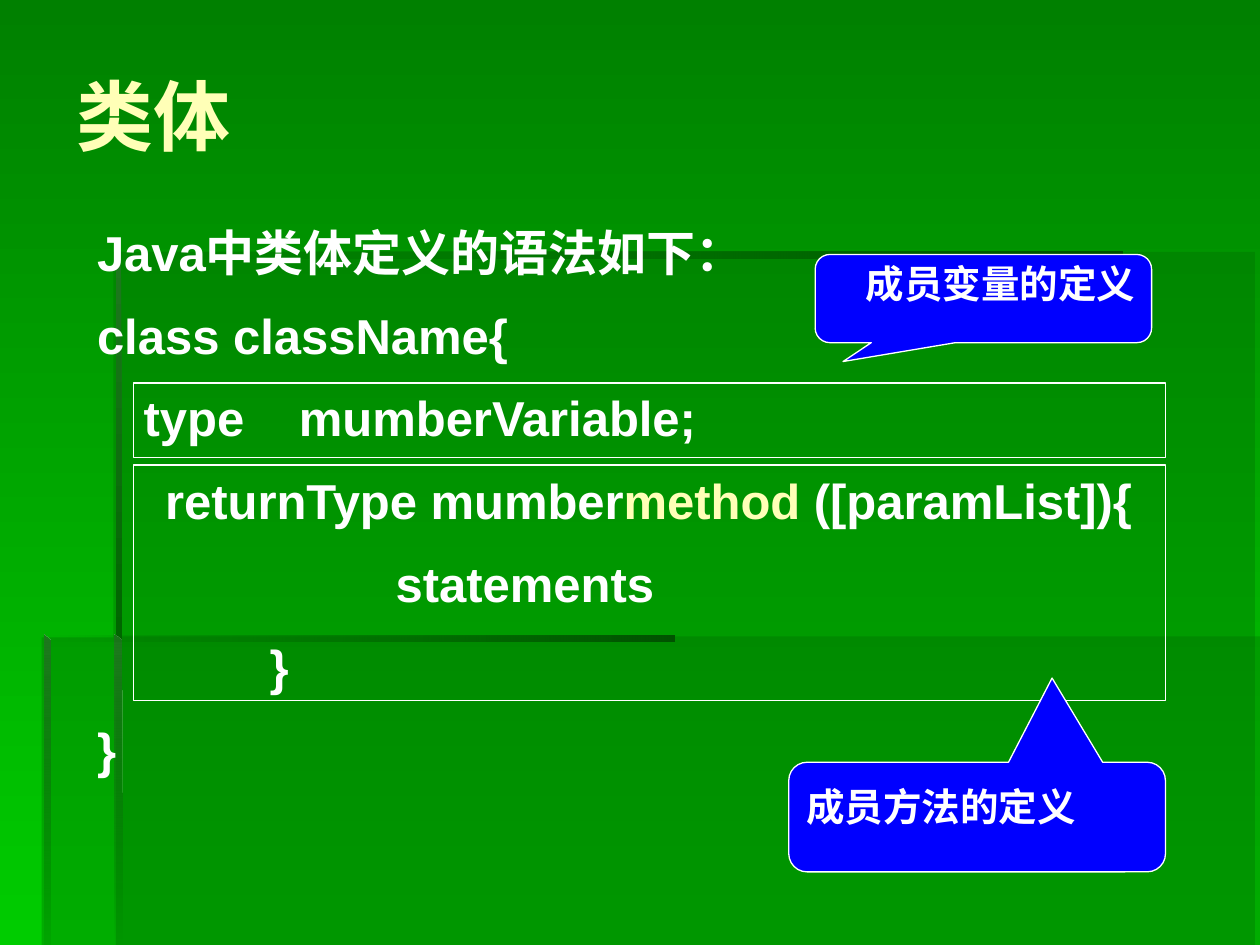
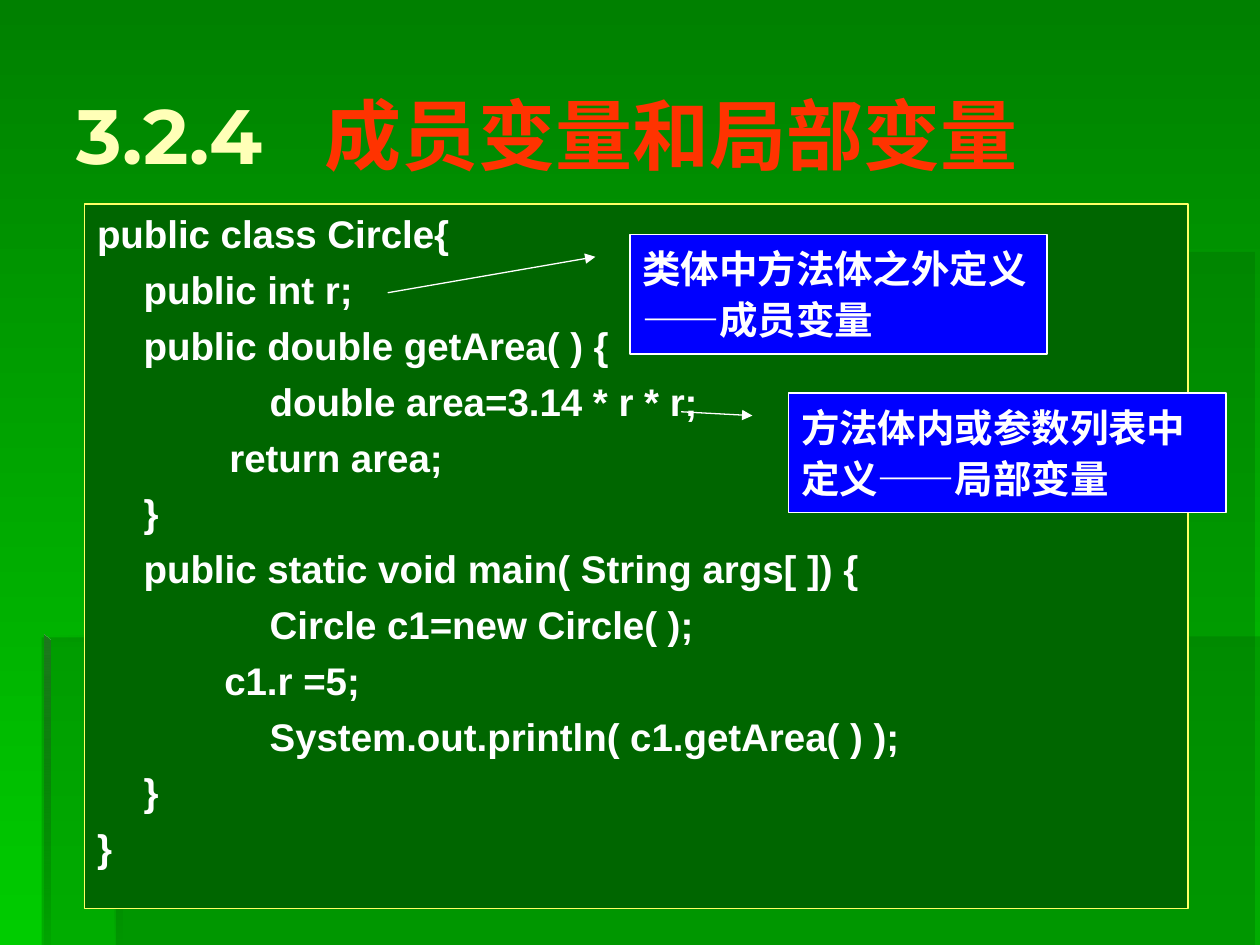
from dataclasses import dataclass

from lxml.etree import SubElement
from pptx import Presentation
from pptx.dml.color import RGBColor
from pptx.enum.shapes import MSO_SHAPE as Preset
from pptx.enum.text import MSO_ANCHOR as Anchor, MSO_AUTO_SIZE as AutoSize, PP_ALIGN as Align
from pptx.oxml.ns import qn
from pptx.util import Inches, Pt


@dataclass(frozen=True)
class Theme:
    font: str = "Arial"
    title_font: str = "Montserrat"
    title_size: int = 44
    syntax_size: int = 28
    code_size: int = 22
    white: str = "FFFFFF"
    cream: str = "FFFFB7"
    red: str = "FF3300"
    blue: str = "0000FF"
    yellow: str = "FFFF66"
    panel: str = "006600"
    shade: str = "005300"
    edge: str = "1E781E"
    sky: tuple = ("008000", "00CC00")


THEME = Theme()
BODY_LEFT, BODY_TOP, BODY_WIDTH = 0.67, 1.62, 8.76

# Shared backdrop: outline points, (colour, opacity) stops, gradient angle
PANE = [(THEME.panel, 30)]
SHADOW = [(THEME.shade, 100), (THEME.panel, 0)]
EDGE = [(THEME.edge, 100), (THEME.panel, 0)]
BACKDROP = [
    ([(0.92, 5.05), (0.92, 7.5), (10, 7.5), (10, 5.05)], PANE, 0),
    ([(0.9, 5.06), (0.33, 5.06), (0.33, 7.5), (9.96, 7.5), (9.96, 2), (0.9, 2)], PANE, 0),
    ([(0.92, 2), (0.92, 2.05), (8.91, 2.05), (8.91, 2)], SHADOW, 180),
    ([(0.92, 2), (0.92, 5.1), (0.97, 5.1), (0.96, 2.04)],
     [(THEME.edge, 100), (THEME.panel, 100)], 90),
    ([(0.91, 7.5), (0.97, 7.5), (0.96, 5.08), (0.91, 5.04)], EDGE, 90),
    ([(0.35, 5.04), (0.35, 5.09), (5.35, 5.09), (5.35, 5.04)], SHADOW, 180),
    ([(0.35, 5.04), (0.35, 7.5), (0.4, 7.5), (0.4, 5.09)],
     [(THEME.edge, 100), (THEME.panel, 10)], 90),
]

# Slide content: code lines are (indent in inches, text or runs);
# a run is (text, colour) and may end with its letter spacing in points
SYNTAX_LINES = [
    (0, "Java中类体定义的语法如下："),
    (0, "class className{"),
    (0.37, [("type", THEME.white), (" ", THEME.white, 23.5),
            ("mumberVariable;", THEME.white)]),
    (0.54, [("returnType mumber", THEME.white), ("method ", THEME.cream),
            ("([paramList]){", THEME.white)]),
    (2.37, "statements"),
    (1.37, "}"),
    (0, "}"),
]
CIRCLE_LINES = [
    (0, "public class Circle{"),
    (0.37, "public int r;"),
    (0.37, "public double getArea( ) {"),
    (1.37, "double area=3.14 * r * r;"),
    (1.05, "return area;"),
    (0.37, "}"),
    (0.37, "public static void main( String args[ ]) {"),
    (1.37, "Circle c1=new Circle( );"),
    (1.01, "c1.r =5;"),
    (1.37, "System.out.println( c1.getArea( ) );"),
    (0.37, "}"),
    (0, "}"),
]
SLIDES = [
    dict(
        title="类体", title_box=(0.51, 0.44, 9.17, 0.94),
        lines=SYNTAX_LINES, body_height=5.88,
        body_format=dict(size=THEME.syntax_size, line_spacing=1.2, before=7),
        frames=[(1.06, 3.04, 8.19, 0.59), (1.06, 3.69, 8.19, 1.87)],
        preset=Preset.ROUNDED_RECTANGULAR_CALLOUT,
        callouts=[
            ("成员变量的定义", (6.47, 2.02, 2.67, 0.7), (-0.417, 0.714, 0.167),
             dict(align=Align.RIGHT, line_spacing=0.9, before=5.5)),
            ("成员方法的定义", (6.26, 6.05, 2.99, 0.87), (0.199, -1.268, 0.167),
             dict(line_spacing=1.2, before=5.5)),
        ],
    ),
    dict(
        title=[("3.2.4", THEME.cream), (" ", THEME.cream, 22.5),
               ("成员变量和局部变量", THEME.red)],
        title_box=(0.51, 0.28, 9.17, 1.57),
        lines=CIRCLE_LINES, body_height=5.59, panel=True,
        body_format=dict(size=THEME.code_size, before=5.5),
        frames=[],
        preset=Preset.LINE_CALLOUT_1,
        callouts=[
            ("类体中方法体之外定义——成员变量", (5, 1.86, 3.31, 0.95),
             (0.188, -0.083, 0.488, -0.581), dict(line_spacing=1.1)),
            ("方法体内或参数列表中定义——局部变量", (6.26, 3.12, 3.47, 0.95),
             (0.188, -0.083, 0.156, -0.246), dict(line_spacing=1.1)),
        ],
    ),
]


def rgb(color):
    return RGBColor.from_string(color)


def write_text(shape, lines, size=THEME.code_size, font=THEME.font, color=THEME.white,
               align=Align.LEFT, anchor=Anchor.TOP, line_spacing=1.0, before=0):
    """Fill a shape with bold (indent, text or runs) lines."""
    frame = shape.text_frame
    frame.word_wrap = True
    frame.auto_size = AutoSize.NONE
    frame.vertical_anchor = anchor
    frame.margin_left = frame.margin_right = Inches(0.1)
    frame.margin_top = frame.margin_bottom = Inches(0.05)
    for number, (indent, content) in enumerate(lines):
        paragraph = frame.add_paragraph() if number else frame.paragraphs[0]
        paragraph.alignment = align
        paragraph.line_spacing = line_spacing
        paragraph.space_before = Pt(before)
        paragraph.space_after = Pt(0)
        properties = paragraph._p.get_or_add_pPr()
        properties.set("marL", "0")
        properties.set("indent", str(Inches(indent)))
        SubElement(properties, qn("a:buNone"))
        runs = [(content, color)] if isinstance(content, str) else content
        for text, run_color, *spacing in runs:
            run = paragraph.add_run()
            run.text = text
            run.font.name = font
            run.font.size = Pt(size)
            run.font.bold = True
            run.font.color.rgb = rgb(run_color)
            if spacing:
                run.font._element.set("spc", str(round(spacing[0] * 100)))


def place(shape, box):
    shape.left, shape.top, shape.width, shape.height = map(Inches, box)


def style(shape, fill=None, line=THEME.white):
    if fill:
        shape.fill.solid()
        shape.fill.fore_color.rgb = rgb(fill)
    else:
        shape.fill.background()
    shape.line.color.rgb = rgb(line)
    shape.line.width = Pt(0.75)


def add_box(slide, preset, box, fill=None):
    shape = slide.shapes.add_shape(preset, *map(Inches, box))
    shape.shadow.inherit = False
    style(shape, fill)
    return shape


def set_gradient(fill, colors, angle):
    fill.gradient()
    fill.gradient_angle = -angle % 360
    for stop, color in zip(fill.gradient_stops, colors):
        stop.color.rgb = rgb(color)


def add_backdrop(master, slide):
    """Draw the backdrop once and move it to the master, behind its placeholders."""
    set_gradient(master.background.fill, THEME.sky, 90)
    for number, (points, stops, angle) in enumerate(BACKDROP):
        corners = [(Inches(x), Inches(y)) for x, y in points]
        builder = slide.shapes.build_freeform(*corners[0])
        builder.add_line_segments(corners[1:], close=True)
        shape = builder.convert_to_shape()
        shape.shadow.inherit = False
        shape.line.fill.background()
        colors = [color for color, _ in stops]
        if len(colors) == 1:
            shape.fill.solid()
            shape.fill.fore_color.rgb = rgb(colors[0])
        else:
            set_gradient(shape.fill, colors, angle)
        color_nodes = shape.element.spPr.iterfind(".//" + qn("a:srgbClr"))
        for node, (_, opacity) in zip(list(color_nodes), stops):
            SubElement(node, qn("a:alpha"), val=str(opacity * 1000))
        shape.element.nvSpPr.cNvPr.set("id", str(20 + number))
        master.shapes.element.insert(2 + number, shape.element)


def add_callout(slide, preset, text, box, adjustments, text_format):
    callout = add_box(slide, preset, box, THEME.blue)
    for number, value in enumerate(adjustments):
        callout.adjustments[number] = value
    if preset == Preset.LINE_CALLOUT_1:
        SubElement(callout.line._get_or_add_ln(), qn("a:headEnd"), type="triangle")
    write_text(callout, [(0, text)], **text_format)


def fill_slide(slide, content):
    # Title and code
    title, body = slide.placeholders
    place(title, content["title_box"])
    write_text(title, [(0, content["title"])], size=THEME.title_size, font=THEME.title_font,
               color=THEME.cream, anchor=Anchor.MIDDLE)
    place(body, (BODY_LEFT, BODY_TOP, BODY_WIDTH, content["body_height"]))
    if content.get("panel"):
        style(body, THEME.panel, THEME.yellow)
    write_text(body, content["lines"], **content["body_format"])
    # Frames around code and their callouts
    for box in content["frames"]:
        add_box(slide, Preset.RECTANGLE, box)
    for callout in content["callouts"]:
        add_callout(slide, content["preset"], *callout)


def main():
    presentation = Presentation()
    presentation.slide_width, presentation.slide_height = Inches(10), Inches(7.5)
    layout = presentation.slide_layouts[1]
    slides = [presentation.slides.add_slide(layout) for _ in SLIDES]
    add_backdrop(presentation.slide_master, slides[0])
    for slide, content in zip(slides, SLIDES):
        fill_slide(slide, content)
    presentation.save("out.pptx")


if __name__ == "__main__":
    main()
